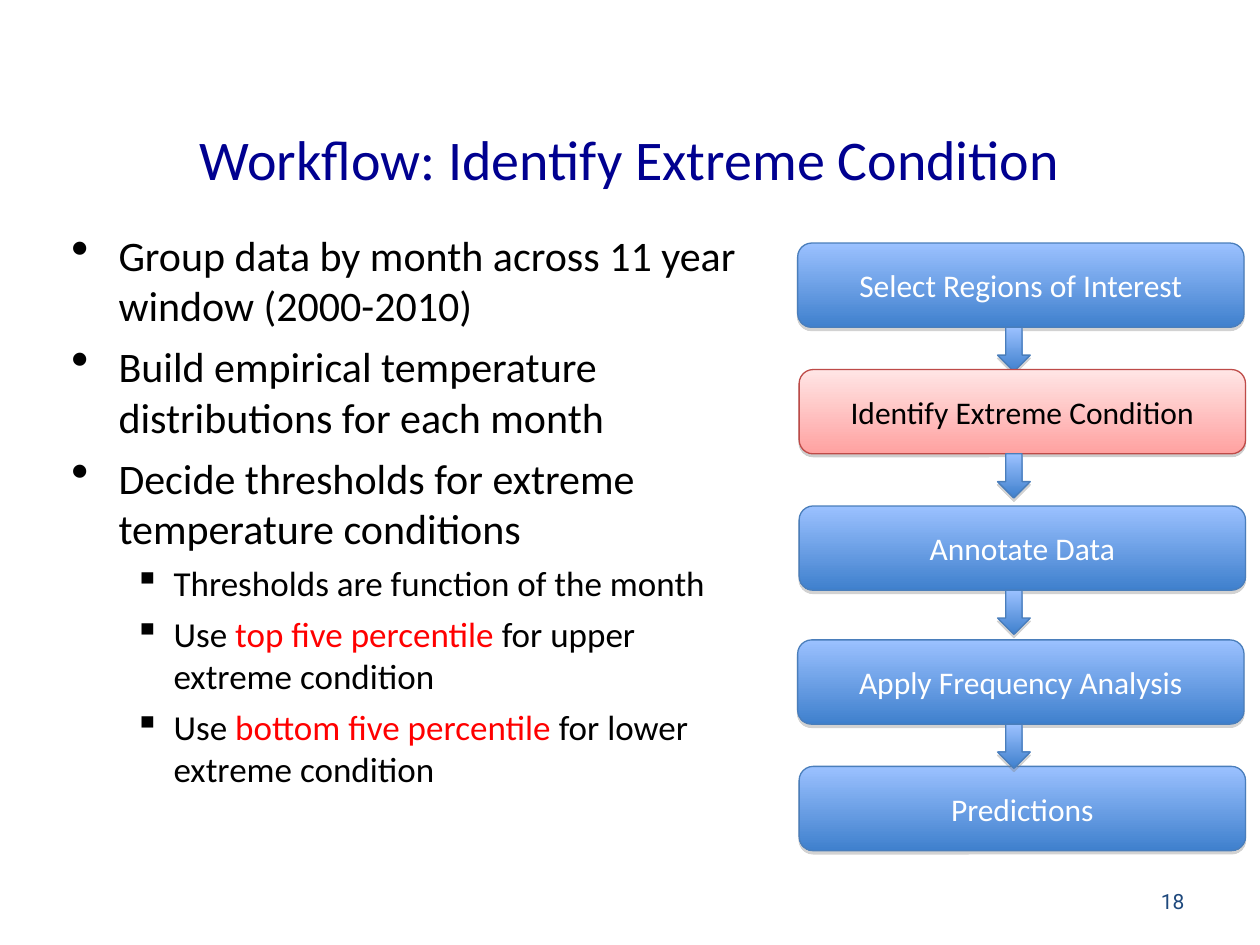
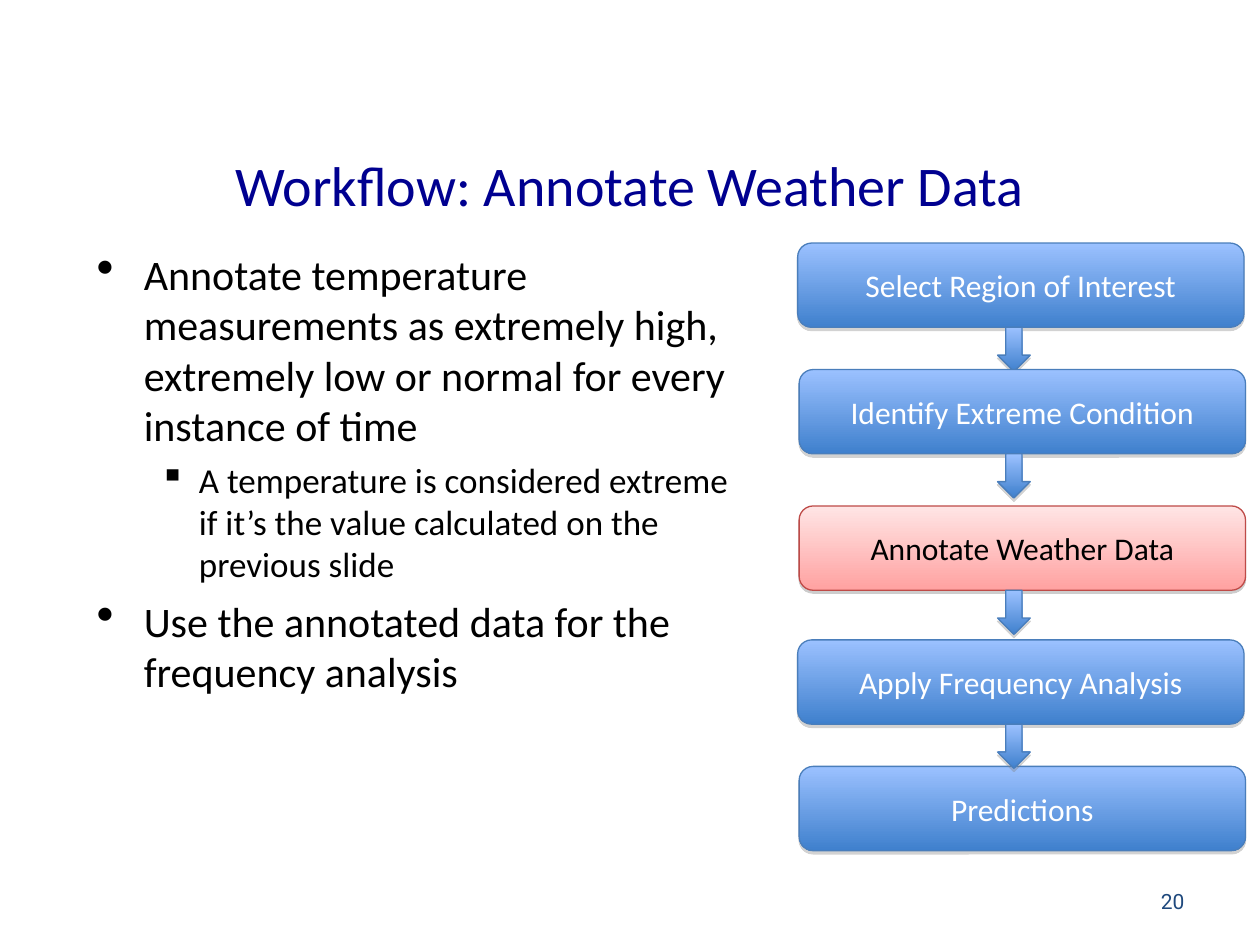
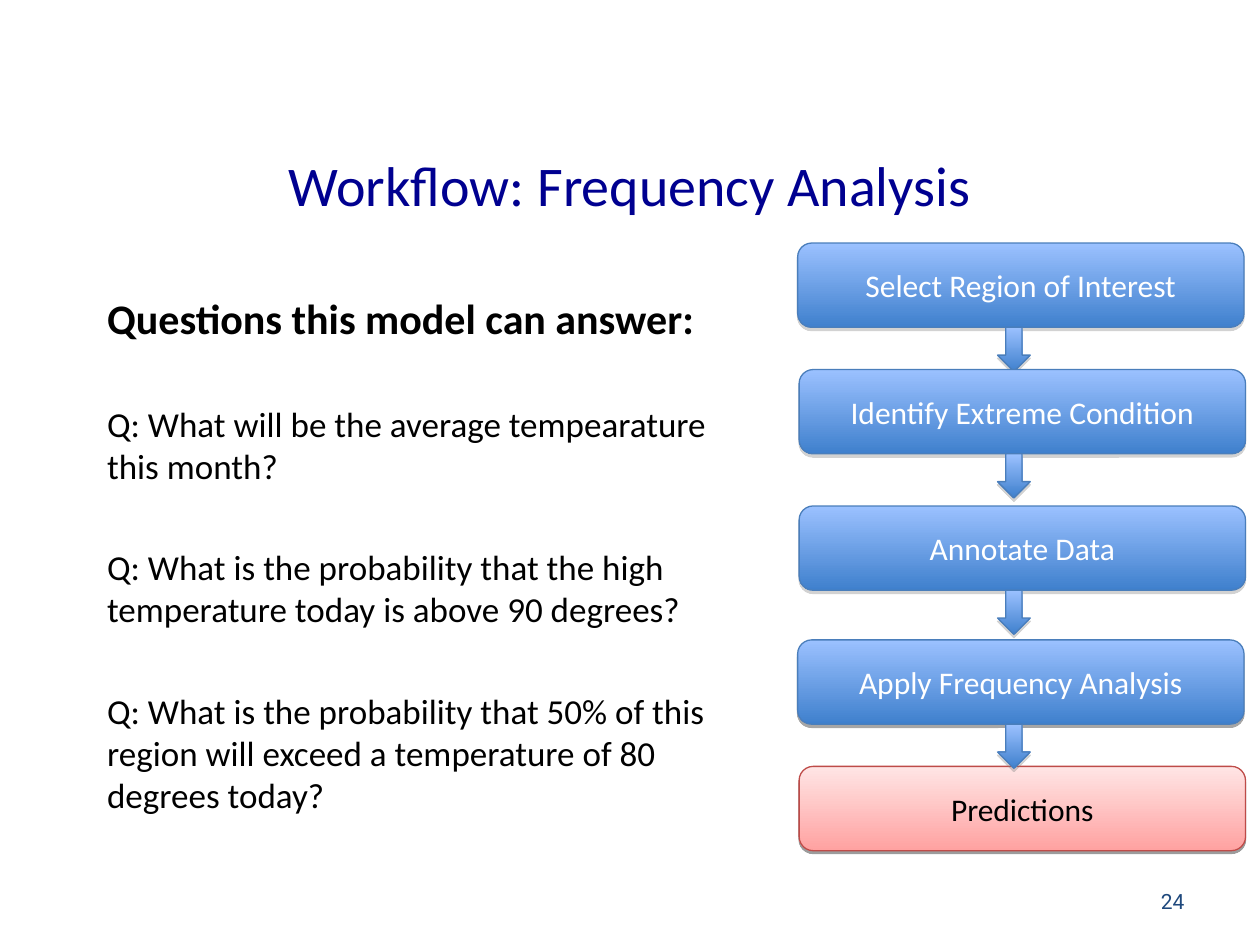
from dataclasses import dataclass

from lxml import etree
from pptx import Presentation
from pptx import util as u
from pptx.dml.color import RGBColor
from pptx.enum import shapes, text
from pptx.oxml import ns

COLORS = {
    "title": "000090",
    "body": "000000",
    "accent": "FF0000",
    "number": "1F497D",
    "white": "FFFFFF",
}
FONT = "Calibri"
NUMBER_FONT = "Roboto"


@dataclass
class Look:
    top: str
    bottom: str
    line: str
    label: str
    shadow_opacity: int
    shadow_distance: float


@dataclass
class Level:
    size: int
    before: int
    margin: float
    indent: float = 0
    depth: int = 0
    bullet: str = ""
    bullet_scale: int = 100
    bold: bool = False


STEP = Look("9BC1FF", "3F80CD", "4A7EBB", COLORS["white"], 35, 1.8)
CURRENT = Look("FFE5E5", "FFA2A1", "BE4B48", COLORS["body"], 38, 1.6)

POINT = Level(24, 6, 0.95, -0.95, 0, "•", 120)
DETAIL = Level(20, 5, 2.06, -0.79, 1, "▪")
HEADING = Level(24, 6, 1.27, depth=1, bold=True)
QUESTION = Level(20, 34, 1.27, depth=1)

FLOW_BOX = (16.08, 4.9)
STEP_TOPS = (0, 2.55, 5.3, 8, 10.55)
STEP_NUDGES = (0, 0.03, 0.03, 0, 0.03)
STEP_SIZE = (9, 1.7)
ARROW_SIZE = (0.66, 0.89)
ARROW_LEFT = 4.03


def lengths(*values):
    return [u.Cm(value) for value in values]


def add_run(paragraph, words, size, color, font=FONT, bold=False):
    run = paragraph.add_run()
    run.text = words
    run.font.name = font
    run.font.size = u.Pt(size)
    run.font.bold = bold
    run.font.color.rgb = RGBColor.from_string(color)


def add_child(parent, tag, **attributes):
    child = etree.SubElement(parent, ns.qn(tag))
    for name, value in attributes.items():
        child.set(name, str(value))
    return child


def add_shadow(shape, color, opacity, distance):
    shape.shadow.inherit = False
    effects = shape._element.spPr.find(ns.qn("a:effectLst"))
    shadow = add_child(effects, "a:outerShdw", blurRad=0,
                       dist=int(u.Pt(distance)), dir=5400000, rotWithShape=0)
    shade = add_child(shadow, "a:srgbClr", val=color)
    add_child(shade, "a:alpha", val=opacity * 1000)


def add_flow_shape(slide, kind, box, look, shadow_color="808080"):
    shape = slide.shapes.add_shape(kind, *lengths(*box))
    shape.fill.gradient()
    shape.fill.gradient_angle = 270
    for stop, position, color in zip(shape.fill.gradient_stops, (0, 1), (look.top, look.bottom)):
        stop.position = position
        stop.color.rgb = RGBColor.from_string(color)
    shape.line.color.rgb = RGBColor.from_string(look.line)
    shape.line.width = u.Pt(0.75)
    add_shadow(shape, shadow_color, look.shadow_opacity, look.shadow_distance)
    return shape


def add_step(slide, box, label, look, shadow_color):
    shape = add_flow_shape(slide, shapes.MSO_SHAPE.ROUNDED_RECTANGLE, box, look, shadow_color)
    frame = shape.text_frame
    frame.word_wrap = True
    frame.vertical_anchor = text.MSO_ANCHOR.MIDDLE
    paragraph = frame.paragraphs[0]
    paragraph.alignment = text.PP_ALIGN.CENTER
    add_run(paragraph, label, 18, look.label)


def add_workflow(slide, origin, labels, current, dark_shadows=()):
    left, top = origin

    def add_arrow(index):
        box = (left + ARROW_LEFT, top + STEP_TOPS[index] + STEP_SIZE[1], *ARROW_SIZE)
        add_flow_shape(slide, shapes.MSO_SHAPE.DOWN_ARROW, box, STEP)

    last_arrow = len(labels) - 2
    for index, label in enumerate(labels):
        box = (left + STEP_NUDGES[index], top + STEP_TOPS[index], *STEP_SIZE)
        add_step(slide, box, label, CURRENT if index == current else STEP,
                 "000000" if index in dark_shadows else "808080")
        if index < last_arrow:
            add_arrow(index)
    add_arrow(last_arrow)


def set_level(paragraph, level, first):
    paragraph.level = level.depth
    properties = paragraph._p.get_or_add_pPr()
    properties.set("marL", str(u.Cm(level.margin)))
    properties.set("indent", str(u.Cm(level.indent)))
    if level.bullet:
        bullet_color = add_child(properties, "a:buClr")
        add_child(bullet_color, "a:srgbClr", val=COLORS["body"])
        add_child(properties, "a:buSzPct", val=level.bullet_scale * 1000)
        add_child(properties, "a:buChar", char=level.bullet)
    if not first:
        paragraph.space_before = u.Pt(level.before)


def add_body(slide, box, items):
    frame = slide.shapes.add_textbox(*lengths(*box)).text_frame
    frame.word_wrap = True
    for index, (level, *pieces) in enumerate(items):
        paragraph = frame.add_paragraph() if index else frame.paragraphs[0]
        set_level(paragraph, level, index == 0)
        for position, words in enumerate(pieces):
            color = COLORS["accent"] if position % 2 else COLORS["body"]
            add_run(paragraph, words, level.size, color, bold=level.bold)


def add_title(slide, box, words):
    title = slide.shapes.title
    title.left, title.top, title.width, title.height = lengths(*box)
    frame = title.text_frame
    frame.auto_size = text.MSO_AUTO_SIZE.NONE
    frame.vertical_anchor = text.MSO_ANCHOR.MIDDLE
    paragraph = frame.paragraphs[0]
    paragraph.alignment = text.PP_ALIGN.CENTER
    add_run(paragraph, words, 32, COLORS["title"])


def add_number(slide, box, number, font):
    frame = slide.shapes.add_textbox(*lengths(*box)).text_frame
    frame.word_wrap = True
    frame.vertical_anchor = text.MSO_ANCHOR.MIDDLE
    paragraph = frame.paragraphs[0]
    paragraph.alignment = text.PP_ALIGN.RIGHT
    add_run(paragraph, str(number), 12, COLORS["number"], font)


def add_workflow_slide(presentation, title, number, body_box, items, labels, current,
                       title_height=2.74, dark_shadows=()):
    slide = presentation.slides.add_slide(presentation.slide_layouts[5])
    add_title(slide, (1.27, 2.34, 22.86, title_height), title)
    add_body(slide, body_box, items)
    add_number(slide, (18.21, 17.65, 5.92, 1.02), number, NUMBER_FONT)
    add_workflow(slide, FLOW_BOX, labels, current, dark_shadows)


def main():
    presentation = Presentation()
    presentation.slide_width, presentation.slide_height = lengths(25.4, 19.05)

    def step_labels(select="Select Region of Interest", annotate="Annotate Data"):
        return (select, "Identify Extreme Condition", annotate,
                "Apply Frequency Analysis", "Predictions")

    add_workflow_slide(
        presentation, "Workflow: Identify Extreme Condition", 18,
        (1.19, 4.5, 14.27, 13.67),
        [
            (POINT, "Group data by month across 11 year window (2000-2010)"),
            (POINT, "Build empirical temperature distributions for each month"),
            (POINT, "Decide thresholds for extreme temperature conditions"),
            (DETAIL, "Thresholds are function of the month"),
            (DETAIL, "Use ", "top five percentile ", "for upper extreme condition"),
            (DETAIL, "Use ", "bottom five percentile ", "for lower extreme condition"),
        ],
        step_labels(select="Select Regions of Interest"), current=1, title_height=1.7)

    add_workflow_slide(
        presentation, "Workflow: Annotate Weather Data", 20,
        (1.7, 4.88, 13.54, 13.28),
        [
            (POINT, "Annotate temperature measurements as extremely high, "
                    "extremely low or normal for every instance of time"),
            (DETAIL, "A temperature is considered extreme if it’s the value "
                     "calculated on the previous slide"),
            (POINT, "Use the annotated data for the frequency analysis"),
        ],
        step_labels(annotate="Annotate Weather Data"), current=2)

    add_workflow_slide(
        presentation, "Workflow: Frequency Analysis", 24,
        (0.64, 5.77, 14.17, 12.24),
        [
            (HEADING, "Questions this model can answer:"),
            (QUESTION, "Q: What will be the average tempearature this month?"),
            (QUESTION, "Q: What is the probability that the high temperature "
                       "today is above 90 degrees?"),
            (QUESTION, "Q: What is the probability that 50% of this region will "
                       "exceed a temperature of 80 degrees today?"),
        ],
        step_labels(), current=4, dark_shadows=(3, 4))

    presentation.save("out.pptx")


if __name__ == "__main__":
    main()
